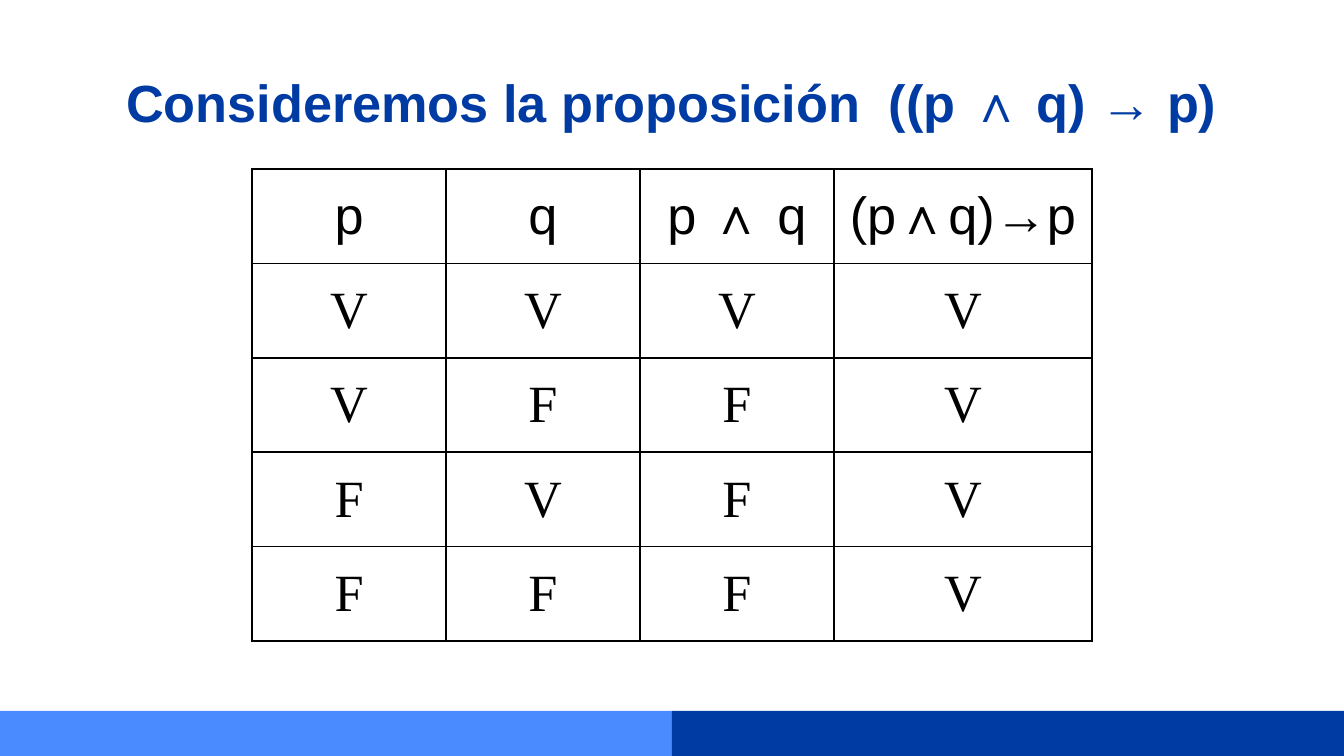
from lxml.etree import SubElement
from pptx import Presentation
from pptx.dml.color import RGBColor
from pptx.enum.shapes import MSO_SHAPE
from pptx.enum.text import MSO_ANCHOR, PP_ALIGN
from pptx.oxml.ns import qn
from pptx.util import Pt

EMU_PER_PX = 914400 / 134.4
PAGE_WIDTH, PAGE_HEIGHT = 1344, 756

NAVY = RGBColor(0x00, 0x3B, 0xA3)
SKY = RGBColor(0x4A, 0x8C, 0xFF)
BLACK = RGBColor(0x00, 0x00, 0x00)

TITLE_FORMAT = {"name": "Arial", "size": Pt(28), "bold": True}
HEADER_FORMAT = {"name": "Arial", "size": Pt(28), "bold": False}
VALUE_FORMAT = {"name": "Times New Roman", "size": Pt(28), "bold": False}

TRUTH_TABLE = [
    ["p", "q", "p ∧ q", "(p∧q)→p"],
    ["V", "V", "V", "V"],
    ["V", "F", "F", "V"],
    ["F", "V", "F", "V"],
    ["F", "F", "F", "V"],
]


def px(length):
    return round(length * EMU_PER_PX)


def write_centred(frame, text, font_format, color):
    para = frame.paragraphs[0]
    para.alignment = PP_ALIGN.CENTER
    span = para.add_run()
    span.text = text
    for name, value in font_format.items():
        setattr(span.font, name, value)
    span.font.color.rgb = color


def set_margins(target, horizontal, vertical):
    margins = {"left": horizontal, "right": horizontal,
               "top": vertical, "bottom": vertical}
    for side, length in margins.items():
        setattr(target, f"margin_{side}", px(length))


def add_footer(page, left, top, width, height):
    """Two equal colour bands, side by side."""
    half = width // 2
    for index, color in enumerate((SKY, NAVY)):
        band = page.shapes.add_shape(
            MSO_SHAPE.RECTANGLE,
            px(left + index * half), px(top), px(half), px(height))
        band.shadow.inherit = False
        band.fill.solid()
        band.fill.fore_color.rgb = color
        band.line.fill.background()


def add_title(page, left, top, width, height):
    box = page.shapes.add_textbox(px(left), px(top), px(width), px(height))
    frame = box.text_frame
    frame.word_wrap = True
    set_margins(frame, 13, 13)
    write_centred(frame, "Consideremos la proposición  ((p ∧ q) → p)",
                  TITLE_FORMAT, NAVY)


def add_borders(cell):
    properties = cell._tc.get_or_add_tcPr()
    for side in ("lnL", "lnR", "lnT", "lnB"):
        line = SubElement(properties, qn(f"a:{side}"), w=str(Pt(1)))
        fill = SubElement(line, qn("a:solidFill"))
        SubElement(fill, qn("a:srgbClr"), val=str(BLACK))


def add_truth_table(page, left, top, width, height):
    row_count, column_count = len(TRUTH_TABLE), len(TRUTH_TABLE[0])
    table = page.shapes.add_table(
        row_count, column_count,
        px(left), px(top), px(width), px(height)).table
    table.first_row = table.horz_banding = False

    # Equal columns, with the last one taking the remaining width
    narrow = 194
    last = width - narrow * (column_count - 1)
    for column, length in zip(table.columns,
                              [narrow] * (column_count - 1) + [last]):
        column.width = px(length)

    for row_index, values in enumerate(TRUTH_TABLE):
        table.rows[row_index].height = px(height / row_count)
        font_format = VALUE_FORMAT if row_index else HEADER_FORMAT
        for column_index, value in enumerate(values):
            cell = table.cell(row_index, column_index)
            add_borders(cell)
            cell.fill.background()
            cell.vertical_anchor = MSO_ANCHOR.MIDDLE
            set_margins(cell, 7, 0)
            write_centred(cell.text_frame, value, font_format, BLACK)


def main():
    deck = Presentation()
    deck.slide_width, deck.slide_height = px(PAGE_WIDTH), px(PAGE_HEIGHT)
    page = deck.slides.add_slide(deck.slide_layouts[6])
    add_footer(page, 0, 711, PAGE_WIDTH, 45)
    add_title(page, 105, 57, 1133, 85)
    add_truth_table(page, 252, 169, 840, 472)
    deck.save("out.pptx")


if __name__ == "__main__":
    main()
